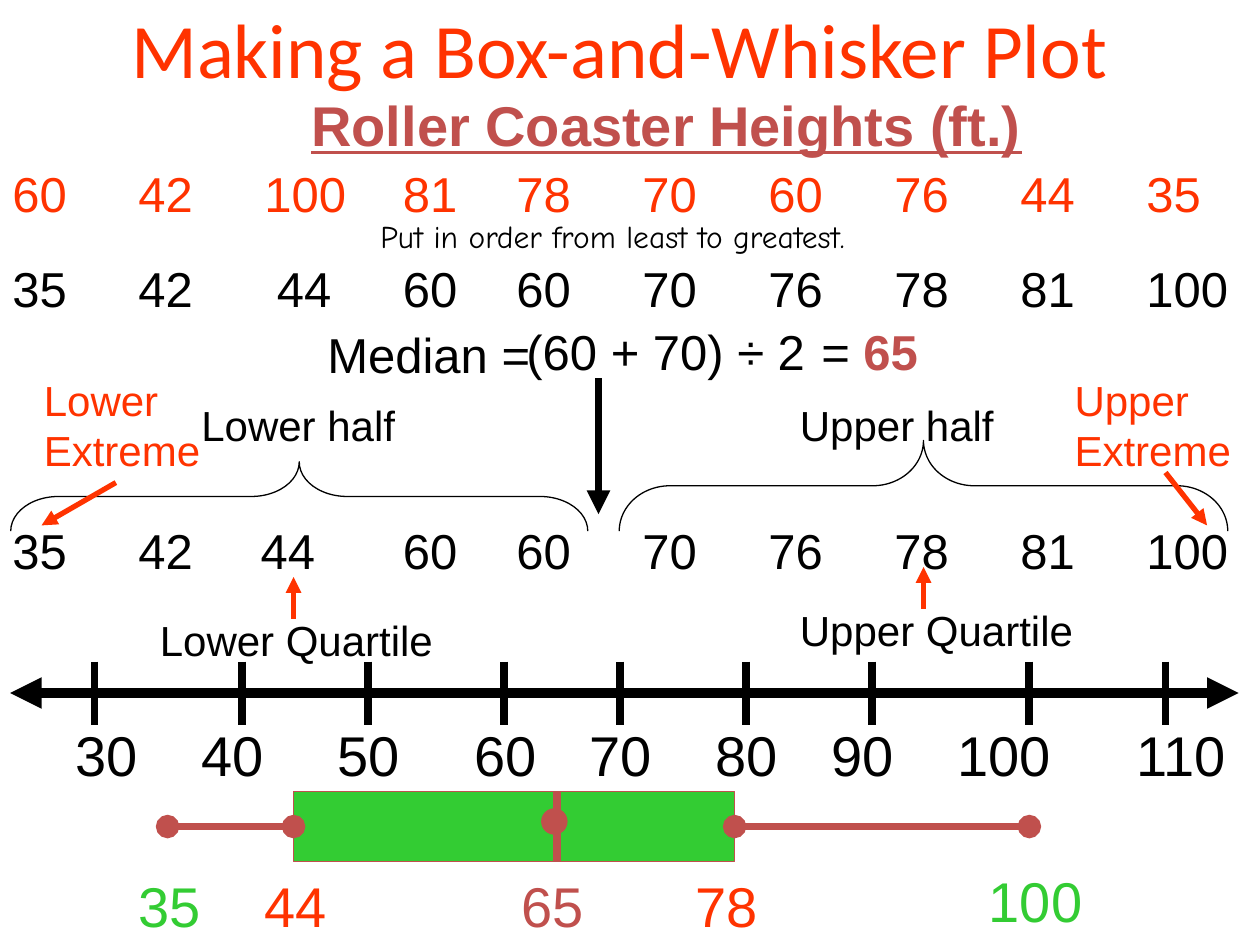
from dataclasses import dataclass

from lxml.etree import SubElement
from pptx import Presentation
from pptx.dml.color import RGBColor
from pptx.enum.shapes import MSO_CONNECTOR, MSO_SHAPE
from pptx.enum.text import MSO_ANCHOR, MSO_AUTO_SIZE, PP_ALIGN
from pptx.oxml.ns import qn
from pptx.util import Inches, Pt


@dataclass(frozen=True)
class Theme:
    black: str = "000000"
    orange: str = "FF3300"
    brick: str = "C0504D"
    green: str = "33CC33"
    body_font: str = "Arial"
    title_font: str = "Calibri"
    note_font: str = "Comic Neue"
    title: int = 44
    large: int = 32
    data: int = 28
    label: int = 24
    note: int = 18
    hairline: float = 0.75
    pointer: float = 3
    stroke: float = 4.5
    axis: float = 6


class PlotPage:
    """Holds the theme and the current slide, and draws its elements."""

    def __init__(self, deck, theme):
        self.theme = theme
        self.page = deck.slides.add_slide(deck.slide_layouts[5])

    def format_font(self, font, size, color, **values):
        values = {"name": self.theme.body_font, "size": Pt(size), **values}
        for name, value in values.items():
            setattr(font, name, value)
        font.color.rgb = RGBColor.from_string(color)

    def title(self, words, left, top, width, height):
        box = self.page.shapes.title
        place = {"left": left, "top": top, "width": width, "height": height}
        for name, value in place.items():
            setattr(box, name, Inches(value))
        frame = box.text_frame
        frame.vertical_anchor = MSO_ANCHOR.MIDDLE
        para = frame.paragraphs[0]
        para.alignment = PP_ALIGN.CENTER
        span = para.add_run()
        span.text = words
        self.format_font(span.font, self.theme.title, self.theme.orange,
                         name=self.theme.title_font)

    def text(self, words, left, top, width, size, color="000000", lines=1,
             wrap=True, align=PP_ALIGN.LEFT, stops=(), **font):
        height = lines * size * 1.2 / 72 + 0.1
        box = self.page.shapes.add_textbox(
            Inches(left), Inches(top), Inches(width), Inches(height))
        frame = box.text_frame
        frame.word_wrap = wrap
        frame.auto_size = MSO_AUTO_SIZE.SHAPE_TO_FIT_TEXT
        para = frame.paragraphs[0]
        para.alignment = align
        if stops:
            tabs = SubElement(para._p.get_or_add_pPr(), qn("a:tabLst"))
            for stop in stops:
                SubElement(tabs, qn("a:tab"), pos=str(Inches(stop)), algn="l")
        span = para.add_run()
        span.text = words
        self.format_font(span.font, size, color, **font)
        return para

    def data_row(self, values, top, color, third=2.0, fourth=3.1):
        stops = [1, third, fourth, *range(4, 10)]
        self.text("\t".join(map(str, values)), 0, top, 10, self.theme.data,
                  color, stops=stops)

    def line(self, start, end, color, width, head=None, tail=None):
        connector = self.page.shapes.add_connector(
            MSO_CONNECTOR.STRAIGHT, *map(Inches, (*start, *end)))
        connector.line.color.rgb = RGBColor.from_string(color)
        connector.line.width = Pt(width)
        outline = connector.line._get_or_add_ln()
        for tag, kind in (("a:headEnd", head), ("a:tailEnd", tail)):
            if kind:
                SubElement(outline, qn(tag), type=kind)
        SubElement(connector._element.spPr, qn("a:effectLst"))
        return connector

    def shape(self, kind, left, top, width, height, line, fill=None):
        shape = self.page.shapes.add_shape(
            kind, *map(Inches, (left, top, width, height)))
        shape.shadow.inherit = False
        if fill:
            shape.fill.solid()
            shape.fill.fore_color.rgb = RGBColor.from_string(fill)
        else:
            shape.fill.background()
        shape.line.color.rgb = RGBColor.from_string(line)
        shape.line.width = Pt(self.theme.hairline)
        return shape

    def brace(self, left, top, width, height, curve):
        brace = self.shape(MSO_SHAPE.RIGHT_BRACE, left, top, width, height,
                           self.theme.black)
        brace.rotation = 270
        brace.adjustments[0] = curve
        brace.adjustments[1] = 0.5


def main():
    deck = Presentation()
    deck.slide_width, deck.slide_height = Inches(10), Inches(7.5)
    theme = Theme()
    plot = PlotPage(deck, theme)

    # Headings
    plot.title("Making a Box-and-Whisker Plot", 0.42, -0.25, 9, 1.25)
    plot.text("Roller Coaster Heights (ft.)", 2.33, 0.67, 5.92, theme.large,
              theme.brick, align=PP_ALIGN.CENTER, bold=True, underline=True)

    # Data as given, in order, and split into halves
    heights = [60, 42, 100, 81, 78, 70, 60, 76, 44, 35]
    ordered = sorted(heights)
    plot.data_row(heights, 1.25, theme.orange)
    plot.text("Put in order from least to greatest.", 2.92, 1.67, 4.42,
              theme.note, name=theme.note_font)
    plot.data_row(ordered, 2, theme.black, third=2.1)
    plot.data_row(ordered, 4.08, theme.black, third=1.97)

    # Median
    plot.text("Median =", 2.5, 2.53, 1.92, theme.data)
    plot.text("(60 + 70) ÷ 2", 4.08, 2.5, 2.42, theme.data, wrap=False)
    result = plot.text("= ", 6.42, 2.5, 0.97, theme.data, wrap=False)
    span = result.add_run()
    span.text = "65"
    plot.format_font(span.font, theme.data, theme.brick, bold=True)
    plot.line((4.75, 3), (4.75, 4.08), theme.black, theme.stroke,
              tail="triangle")

    # Halves and quartiles
    plot.brace(2.1, 1.65, 0.55, 4.58, 0.69)
    plot.brace(6.97, 1.44, 0.72, 4.83, 0.56)
    for side, half_left, quartile_left, top, arrow in (
            ("Lower", 1.5, 1.17, 4.83, 2.33),
            ("Upper", 6.25, 6.25, 4.75, 7.33)):
        plot.text(f"{side} half", half_left, 3.12, 2.67, theme.label)
        plot.text(f"{side} Quartile", quartile_left, top, 2.42, theme.label)
        plot.line((arrow, top + 0.08), (arrow, top - 0.25), theme.orange,
                  theme.pointer, tail="triangle")

    # Extremes
    for side, left, start, end in (
            ("Lower", 0.25, (0.92, 3.83), (0.33, 4.17)),
            ("Upper", 8.43, (9.25, 3.75), (9.58, 4.17))):
        plot.text(f"{side} Extreme", left, 2.92, 1.57, theme.label,
                  theme.orange, lines=2)
        plot.line(start, end, theme.orange, theme.pointer, tail="triangle")

    # Number line
    plot.line((0.08, 5.5), (9.83, 5.5), theme.black, theme.axis,
              head="triangle", tail="triangle")
    ticks = [0.75, 1.92, 2.92, 4, 4.92, 5.92, 6.92, 8.17, 9.25]
    label_lefts = [0.5, 1.5, 2.58, 3.67, 4.58, 5.58, 6.5, 7.5, 8.92]
    for value, tick, left in zip(range(30, 120, 10), ticks, label_lefts):
        plot.line((tick, 5.25), (tick, 5.75), theme.black, theme.stroke)
        plot.text(str(value), left, 5.67, 1.05, theme.large)

    # Box and whiskers
    box = plot.shape(MSO_SHAPE.RECTANGLE, 2.33, 6.28, 3.5, 0.56, theme.brick,
                     theme.green)
    plot.line((4.42, 6.28), (4.42, 6.84), theme.brick, theme.stroke)
    plot.shape(MSO_SHAPE.OVAL, 4.3, 6.42, 0.2, 0.2, theme.brick, theme.brick)
    lower, upper = (
        plot.line((start, 6.56), (end, 6.56), theme.brick, theme.stroke,
                  head="oval", tail="oval")
        for start, end in ((1.33, 2.33), (5.83, 8.17)))
    lower.end_connect(box, 1)
    upper.begin_connect(box, 3)

    # Five-number summary
    for value, left, top, color in (
            (35, 1, 6.87, theme.green), (44, 2, 6.87, theme.orange),
            (65, 4.04, 6.87, theme.brick), (78, 5.42, 6.87, theme.orange),
            (100, 7.75, 6.83, theme.green)):
        plot.text(str(value), left, top, 1, theme.large, color)

    deck.save("out.pptx")


if __name__ == "__main__":
    main()
